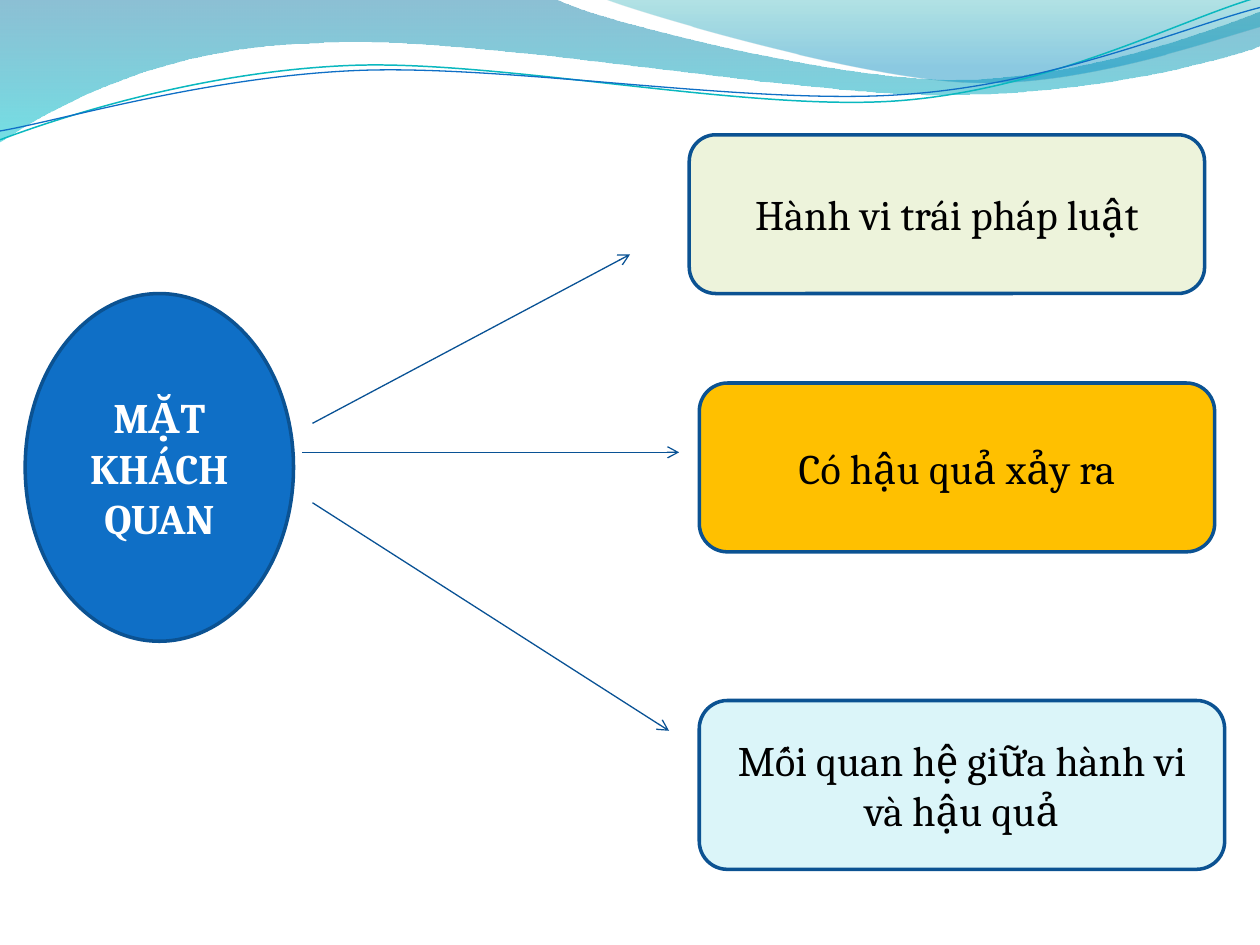
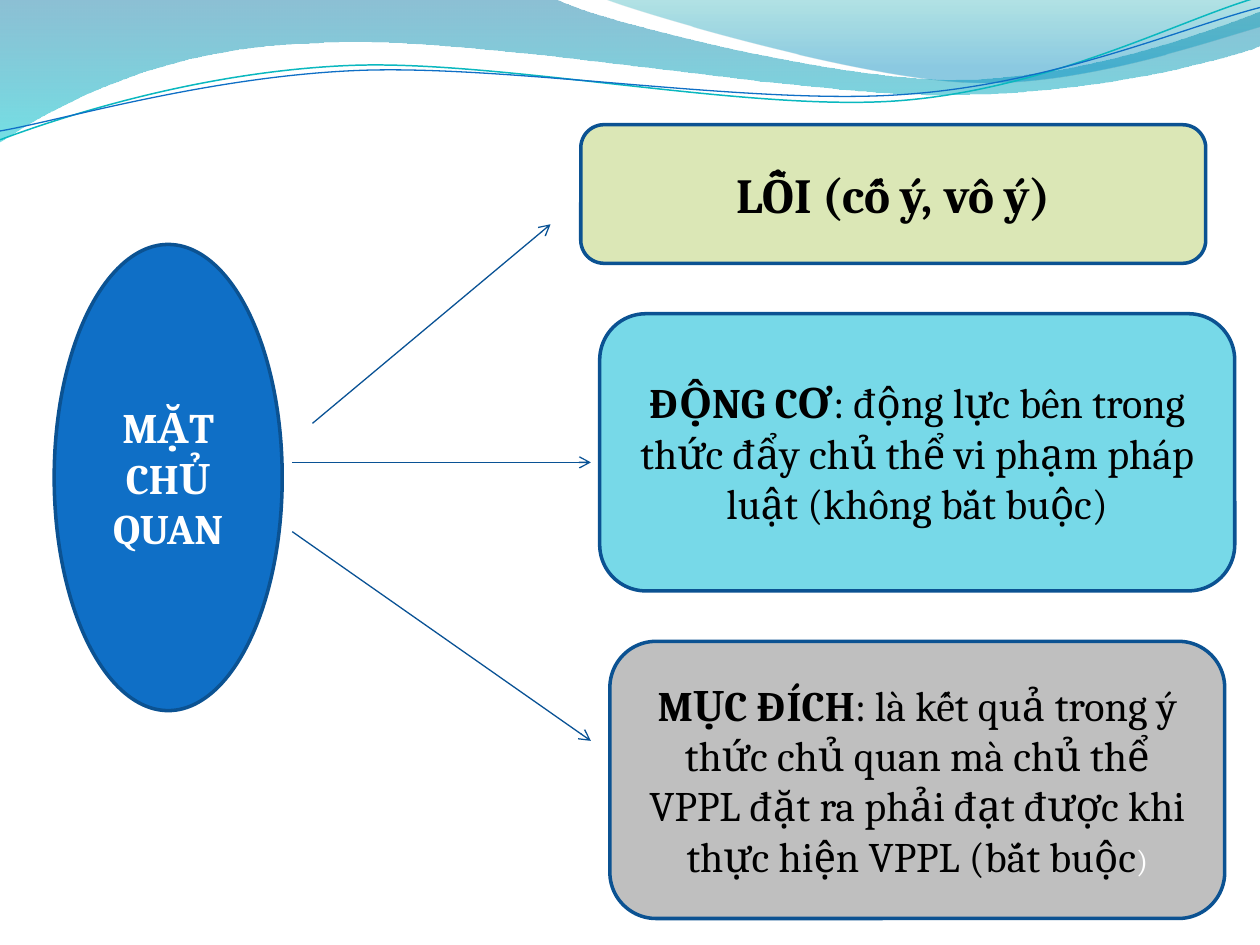
import math
from pptx import Presentation
from pptx import util as u
from pptx.dml.color import RGBColor
from pptx.enum import shapes, text
from pptx.oxml.ns import qn
from lxml import etree

FONT = "Cambria"
TILT = 2.7  # degrees the thin wave lines lean to the left
HEX = {
    "blue": "0F6FC6", "edge": "0B5292", "arrow": "095295", "teal": "0AB8BF",
    "white": "FFFFFF", "black": "000000", "cream": "EDF3DB", "gold": "FFC000",
    "ice": "DBF5F9", "green": "DBE7B6", "aqua": "77D9E8", "grey": "BFBFBF",
    "navy": "0074A1", "cyan": "00C6CF", "sea": "00A1A9", "sky": "008BBF",
}

# Header waves: a pair is a line end, six numbers are a curve
BANDS = [
    {"path": [(0, 0), (4.4, -0.01), (4.76, 0.17, 6.64, 0.63, 7.58, 0.63),
              (8.53, 0.63, 9.58, 0.26, 10, 0.09), (10.01, 0.36),
              (9.83, 0.44, 8.7, 0.76, 7.46, 0.75),
              (6.22, 0.75, 3.82, 0.28, 2.57, 0.34),
              (1.29, 0.36, 0.46, 0.83, -0.01, 1.13), (0, 0)],
     "stops": [(0, "navy", 45), (1, "cyan", 55)]},
    {"path": [(4.79, -0.01), (5.09, 0.11, 6.82, 0.62, 7.69, 0.65),
              (8.56, 0.69, 9.61, 0.32, 10, 0.21), (10, 0), (4.79, -0.01)],
     "stops": [(0, "sea", 30), (0.8, "sky", 45)]},
    {"path": [(0, 1.11), (0.48, 0.93, 1.58, 0.57, 2.77, 0.52),
              (3.95, 0.47, 5.93, 0.89, 7.13, 0.8),
              (8.33, 0.71, 9.38, 0.15, 9.98, -0.02)],
     "line": ("teal", 0.85), "mid": (4.99, 0.57)},
    {"path": [(0, 1.04), (0.47, 0.96, 1.64, 0.61, 2.83, 0.56),
              (4.03, 0.51, 5.97, 0.84, 7.17, 0.75),
              (8.36, 0.67, 9.41, 0.21, 10, 0.06)],
     "line": ("blue", 0.75), "mid": (5, 0.59)},
]

# Runs: (words, size, bold, colour)
SLIDES = [
    {"hub": ((0.2, 2.33, 2.13, 2.76), "MẶT KHÁCH QUAN"),
     "boxes": [
         ((5.47, 1.07, 4.09, 1.26), "cream",
          [("Hành vi trái pháp luật", 24, False, "black")]),
         ((5.55, 3.04, 4.09, 1.34), "gold",
          [("Có hậu quả xảy ra", 24, False, "black")]),
         ((5.55, 5.56, 4.17, 1.34), "ice",
          [("Mối quan hệ giữa hành vi và hậu quả", 24, False, "black")])],
     "arrows": [(2.4, 3.59, 5.39, 3.59), (2.48, 3.36, 5, 2.02),
                (2.48, 3.99, 5.31, 5.8)]},
    {"hub": ((0.43, 1.94, 1.81, 3.7), "MẶT CHỦ QUAN"),
     "boxes": [
         ((4.61, 0.99, 4.96, 1.1), "green",
          [("LỖI (cố ý, vô ý)", 28, True, "black")]),
         ((4.76, 2.49, 5.04, 2.2), "aqua",
          [("ĐỘNG CƠ", 24, True, "black"),
           (": động lực bên trong thức đẩy chủ thể vi phạm pháp luật "
            "(không bắt buộc)", 24, False, "black")]),
         ((4.84, 5.09, 4.88, 2.2), "grey",
          [("MỤC ĐÍCH", 24, True, "black"),
           (": là kết quả trong ý thức chủ quan mà chủ thể VPPL đặt ra "
            "phải đạt được khi thực hiện VPPL (bắt buộc", 24, False, "black"),
           (")", 18, False, "white")])],
     "arrows": [(2.32, 3.67, 4.69, 3.67), (2.48, 3.36, 4.37, 1.78),
                (2.32, 4.22, 4.69, 5.88)]},
]


def rgb(name):
    return RGBColor.from_string(HEX[name])


def stroke(shape, name, width):
    shape.line.color.rgb = rgb(name)
    shape.line.width = u.Pt(width)


def shade(shape, stops):
    shape.fill.gradient()
    shape.fill.gradient_angle = 270
    for stop, (pos, tint, alpha) in zip(shape.fill.gradient_stops, stops):
        stop.position = pos
        stop.color.rgb = rgb(tint)
    marks = shape._element.spPr.iter(qn("a:srgbClr"))
    for mark, (pos, tint, alpha) in zip(marks, stops):
        etree.SubElement(mark, qn("a:alpha")).set("val", str(alpha * 1000))
    shape.line.fill.background()


def place(seg, mid):
    """Split a segment into EMU points, levelled about mid if it is given."""
    pts = list(zip(seg[::2], seg[1::2]))
    if mid:
        cos, sin = math.cos(math.radians(TILT)), math.sin(math.radians(TILT))
        rel = [(x - mid[0], y - mid[1]) for x, y in pts]
        pts = [(mid[0] + x * cos - y * sin, mid[1] + x * sin + y * cos)
               for x, y in rel]
    return [(u.Inches(x), u.Inches(y)) for x, y in pts]


def bend(shape, segs):
    """Turn the straight steps that have control points into curves."""
    steps = list(shape._element.spPr.iter(qn("a:lnTo")))
    for step, seg in zip(steps, segs):
        if len(seg) == 3:
            curve = etree.Element(qn("a:cubicBezTo"))
            for x, y in seg:
                etree.SubElement(curve, qn("a:pt"), x=str(x - shape.left),
                                 y=str(y - shape.top))
            step.getparent().replace(step, curve)


def add_wave(slide, band):
    mid = band.get("mid")
    first, *segs = [place(seg, mid) for seg in band["path"]]
    pen = slide.shapes.build_freeform(*first[0], scale=1.0)
    pen.add_line_segments([seg[-1] for seg in segs], close="stops" in band)
    wave = pen.convert_to_shape()
    bend(wave, segs)
    wave.shadow.inherit = False
    if mid:
        wave.rotation = 360 - TILT
        wave.fill.background()
        stroke(wave, *band["line"])
    else:
        shade(wave, band["stops"])
    return wave


def dress(layout, slide):
    """Move the header waves to the layout that all slides share."""
    for spare in list(layout.placeholders):
        spare._element.getparent().remove(spare._element)
    for wave in [add_wave(slide, band) for band in BANDS]:
        layout.shapes._spTree.append(wave._element)


def add_node(slide, kind, at, fill, runs):
    node = slide.shapes.add_shape(kind, *map(u.Inches, at))
    node.shadow.inherit = False
    node.fill.solid()
    node.fill.fore_color.rgb = rgb(fill)
    stroke(node, "edge", 2)
    frame = node.text_frame
    frame.word_wrap = True
    frame.vertical_anchor = text.MSO_ANCHOR.MIDDLE
    para = frame.paragraphs[0]
    para.alignment = text.PP_ALIGN.CENTER
    for words, size, bold, tint in runs:
        run = para.add_run()
        run.text = words
        run.font.name = FONT
        run.font.size = u.Pt(size)
        run.font.bold = bold
        run.font.color.rgb = rgb(tint)


def add_arrow(slide, ends):
    line = slide.shapes.add_connector(
        shapes.MSO_CONNECTOR.STRAIGHT, *map(u.Inches, ends))
    stroke(line, "arrow", 0.75)
    etree.SubElement(line.line._get_or_add_ln(), qn("a:tailEnd")).set(
        "type", "arrow")
    etree.SubElement(line._element.spPr, qn("a:effectLst"))


def main():
    prs = Presentation()
    prs.slide_width, prs.slide_height = u.Inches(10), u.Inches(7.5)
    blank = prs.slide_layouts[6]
    kinds = shapes.MSO_SHAPE
    for num, data in enumerate(SLIDES):
        slide = prs.slides.add_slide(blank)
        if num == 0:
            dress(blank, slide)
        # Hub, its three parts and the arrows between
        at, title = data["hub"]
        add_node(slide, kinds.OVAL, at, "blue", [(title, 24, True, "white")])
        for at, fill, runs in data["boxes"]:
            add_node(slide, kinds.ROUNDED_RECTANGLE, at, fill, runs)
        for ends in data["arrows"]:
            add_arrow(slide, ends)
    prs.save("out.pptx")


if __name__ == "__main__":
    main()
